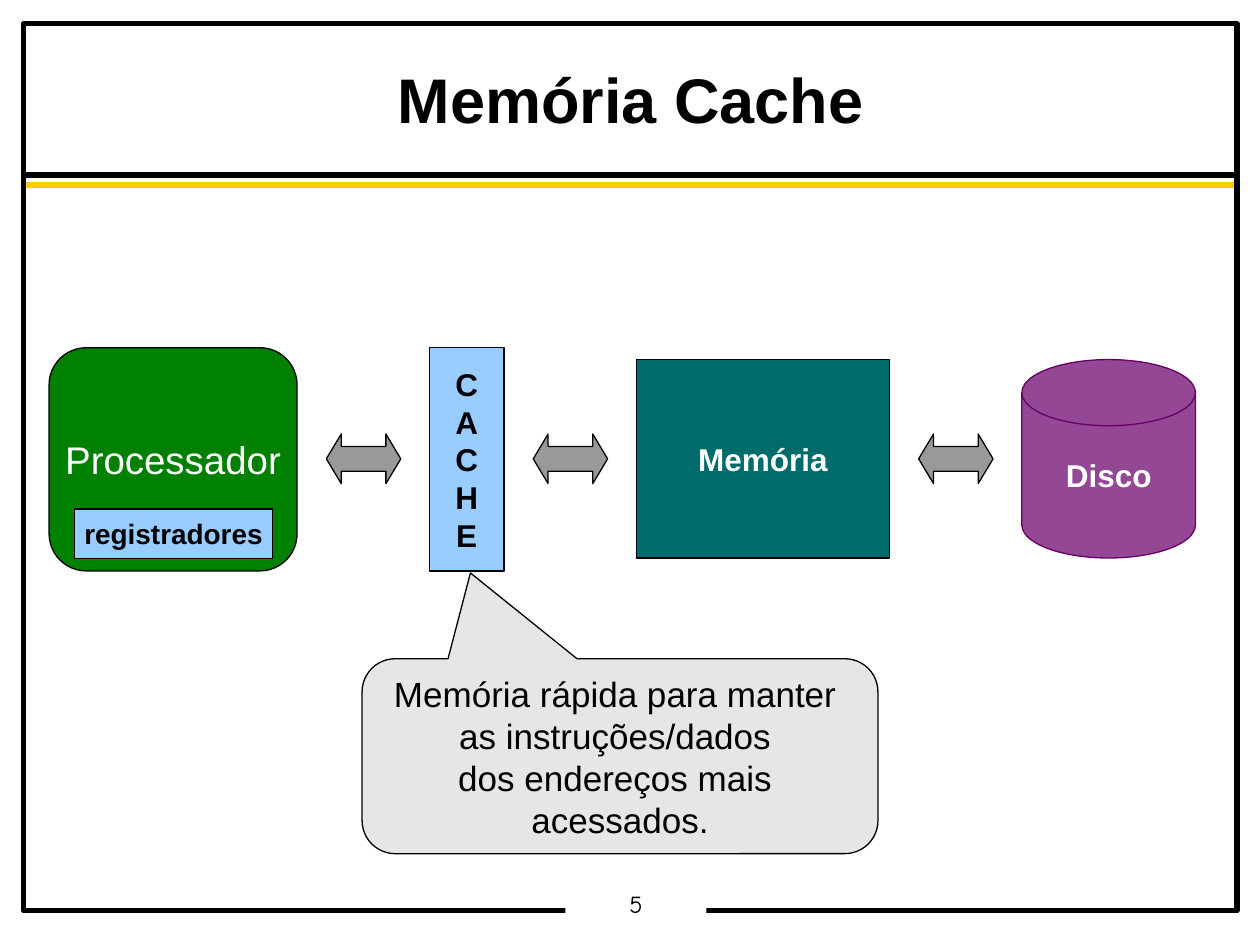
from pptx import Presentation
from pptx.dml.color import RGBColor
from pptx.enum.shapes import MSO_CONNECTOR, MSO_SHAPE
from pptx.enum.text import MSO_ANCHOR, PP_ALIGN
from pptx.oxml.ns import qn
from pptx.util import Cm, Pt
from lxml import etree

RECT = MSO_SHAPE.RECTANGLE
ROUND = MSO_SHAPE.FLOWCHART_ALTERNATE_PROCESS
STEP = MSO_SHAPE.FLOWCHART_PROCESS
DISK = MSO_SHAPE.FLOWCHART_MAGNETIC_DISK
ARROW = MSO_SHAPE.LEFT_RIGHT_ARROW
BUBBLE = MSO_SHAPE.ROUNDED_RECTANGULAR_CALLOUT
LINE = MSO_CONNECTOR.STRAIGHT
CENTER = PP_ALIGN.CENTER
TOP, MIDDLE = MSO_ANCHOR.TOP, MSO_ANCHOR.MIDDLE

COLORS = {
    "black": "000000", "white": "FFFFFF", "gold": "FFCC00",
    "green": "008000", "sky": "99CCFF", "teal": "006B6B",
    "purple": "944794", "plum": "660066", "gray": "999999",
    "pale": "E6E6E6",
}


def color(name):
    return RGBColor.from_string(COLORS[name])


def add_box(kind, box, fill=None, line="black", width=0):
    shape = slide.shapes.add_shape(kind, *[Cm(v) for v in box])
    shape.shadow.inherit = False
    if fill:
        shape.fill.solid()
        shape.fill.fore_color.rgb = color(fill)
    else:
        shape.fill.background()
    if line:
        shape.line.color.rgb = color(line)
        shape.line.width = Pt(width)
    else:
        shape.line.fill.background()
    return shape


def add_text(shape, lines, size, ink="black", bold=False, font="Arial",
             space=None, anchor=MIDDLE, wrap=False):
    frame = shape.text_frame
    frame.word_wrap = wrap
    frame.vertical_anchor = anchor
    for i, line in enumerate(lines):
        para = frame.add_paragraph() if i else frame.paragraphs[0]
        para.text = line
        para.alignment = CENTER
        para.line_spacing = space
        para.font.size = Pt(size)
        para.font.name = font
        para.font.bold = bold
        para.font.color.rgb = color(ink)


deck = Presentation()
deck.slide_width, deck.slide_height = Cm(25.4), Cm(19.05)
slide = deck.slides.add_slide(deck.slide_layouts[6])

# Header rules
for y, name in [(3.53, "black"), (3.73, "gold")]:
    rule = slide.shapes.add_connector(LINE, Cm(0.51), Cm(y), Cm(24.97), Cm(y))
    rule.line.color.rgb = color(name)
    rule.line.width = Pt(3)
    etree.SubElement(rule.element.spPr, qn("a:effectLst"))

# Page frame and number
add_box(RECT, (0.48, 0.48, 24.46, 17.88), width=3)
number = add_box(RECT, (11.4, 17.91, 2.84, 0.69), "white", None)
frame = number.text_frame
frame.margin_left = frame.margin_right = Cm(0.18)
frame.margin_top = frame.margin_bottom = Cm(0.08)
add_text(number, ["5"], 14, font="Comic Neue", space=0.9, anchor=TOP)

# Title
title = slide.shapes.add_textbox(Cm(0.51), Cm(0.64), Cm(24.41), Cm(2.84))
add_text(title, ["Memória Cache"], 36, bold=True, space=0.95, wrap=True)

# Memory levels
levels = [
    (ROUND, (0.99, 7.01, 5, 4.5), "green", "black",
     ["Processador"], 22, "white", False),
    (RECT, (1.5, 10.26, 4, 1), "sky", "black",
     ["registradores"], 16, "black", True),
    (STEP, (8.66, 7.01, 1.5, 4.5), "sky", "black",
     list("CACHE"), 18, "black", True),
    (STEP, (12.83, 7.25, 5.1, 4), "teal", "black",
     ["Memória"], 18, "white", True),
    (DISK, (20.6, 7.25, 3.5, 4), "purple", "plum",
     ["Disco"], 18, "white", True),
]
for kind, box, fill, line, lines, size, ink, bold in levels:
    add_text(add_box(kind, box, fill, line), lines, size, ink, bold)

# Arrows between levels
for x in (6.58, 10.75, 18.52):
    arrow = add_box(ARROW, (x, 8.75, 1.5, 1), "gray")
    arrow.adjustments[0] = 0.5
    arrow.adjustments[1] = 0.3

# Callout under the cache
bubble = add_box(BUBBLE, (7.3, 13.28, 10.4, 3.93), "pale")
for i, value in enumerate((-0.29, -0.94, 0.17)):
    bubble.adjustments[i] = value
add_text(bubble, ["Memória rápida para manter \nas instruções/dados \n"
                  "dos endereços mais \nacessados."], 20)

deck.save("out.pptx")
